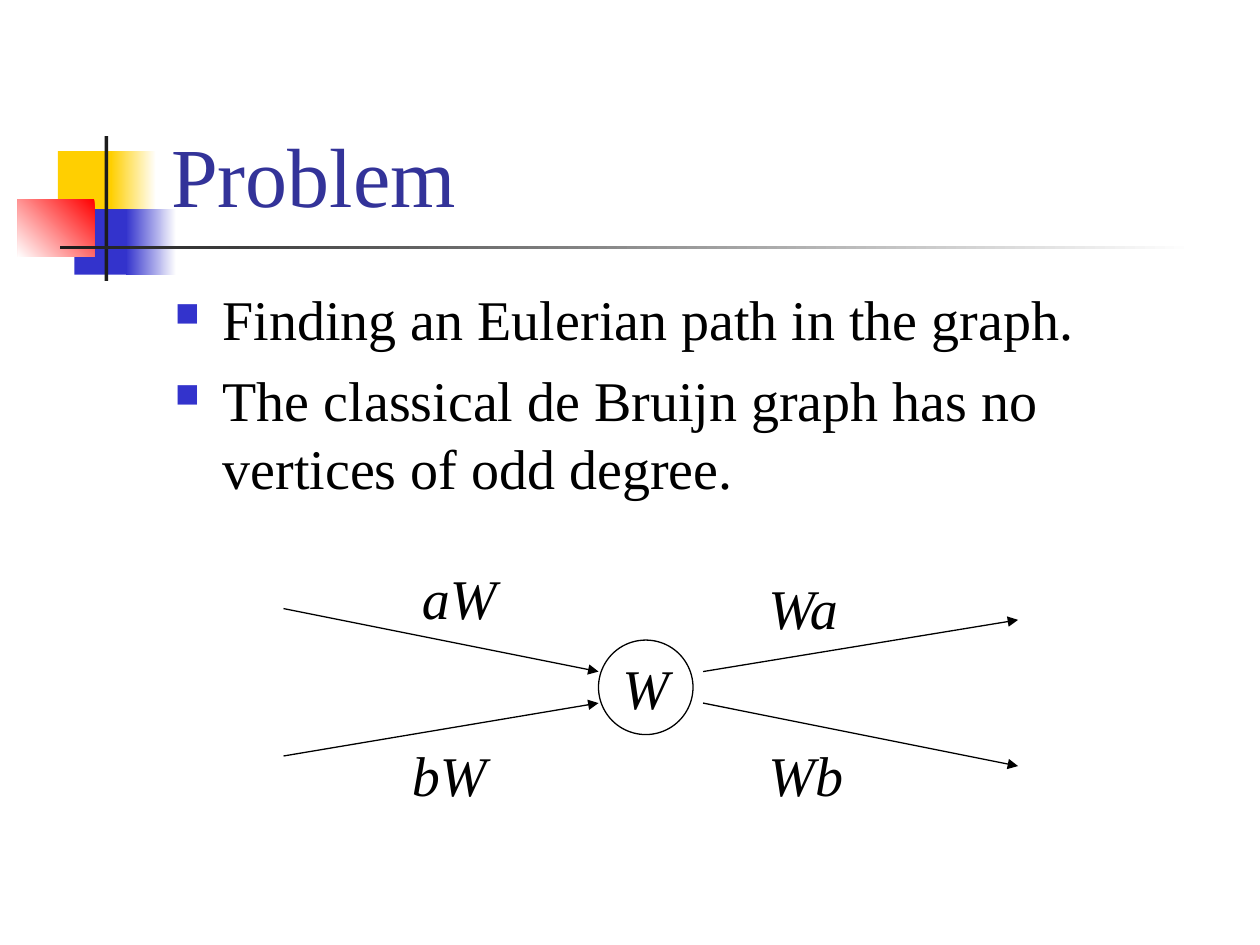
from dataclasses import dataclass

from lxml.etree import SubElement
from pptx import Presentation
from pptx.dml.color import RGBColor
from pptx.enum.shapes import MSO_CONNECTOR as Connector, MSO_SHAPE as Shape
from pptx.enum.text import MSO_ANCHOR as Anchor, PP_ALIGN as Align
from pptx.oxml.ns import qn
from pptx.util import Inches, Pt


@dataclass(frozen=True)
class Theme:
    font: str = "Times New Roman"
    title_size: int = 48
    body_size: int = 32
    line_width: float = 0.75
    white: str = "FFFFFF"
    black: str = "000000"
    title: str = "333399"
    yellow: str = "FFCF01"
    blue: str = "3333CC"
    red: str = "FF0000"
    dark: str = "1C1C1C"


THEME = Theme()


def rgb(value):
    return RGBColor.from_string(value)


def add_run(paragraph, text, size=THEME.body_size, color=THEME.black, italic=False):
    run = paragraph.add_run()
    run.text = text
    run.font.name = THEME.font
    run.font.size = Pt(size)
    run.font.italic = italic
    run.font.color.rgb = rgb(color)


def add_text_frame(slide, left, top, width, height, anchor=Anchor.TOP):
    shape = slide.shapes.add_textbox(Inches(left), Inches(top), Inches(width), Inches(height))
    frame = shape.text_frame
    frame.word_wrap = True
    frame.vertical_anchor = anchor
    return frame


def add_block(slide, left, top, width, height, start, end=None, angle=180):
    shape = slide.shapes.add_shape(
        Shape.RECTANGLE, Inches(left), Inches(top), Inches(width), Inches(height)
    )
    shape.shadow.inherit = False
    shape.line.fill.background()
    if end is None:
        shape.fill.solid()
        shape.fill.fore_color.rgb = rgb(start)
        return
    shape.fill.gradient()
    shape.fill.gradient_angle = 360 - angle
    for stop, color, position in zip(shape.fill.gradient_stops, (start, end), (0, 1)):
        stop.color.rgb = rgb(color)
        stop.position = position


def add_decoration(slide, left, top):
    add_block(slide, left + 0.32, top + 0.12, 0.48, 0.52, THEME.yellow)
    add_block(slide, left + 0.74, top + 0.12, 0.36, 0.52, THEME.white, THEME.yellow)
    add_block(slide, left + 0.45, top + 0.58, 0.46, 0.52, THEME.blue)
    add_block(slide, left + 0.86, top + 0.58, 0.4, 0.52, THEME.white, THEME.blue)
    add_block(slide, left, top + 0.5, 0.61, 0.46, THEME.red, THEME.white, 135)
    add_block(slide, left + 0.69, top, 0.03, 1.15, THEME.dark)
    add_block(slide, left + 0.34, top + 0.87, 9, 0.03, THEME.white, THEME.dark)


def add_title(slide, left, top, width, height, text):
    frame = add_text_frame(slide, left, top, width, height, Anchor.BOTTOM)
    add_run(frame.paragraphs[0], text, THEME.title_size, THEME.title)


def add_bullet(paragraph):
    properties = paragraph._p.get_or_add_pPr()
    properties.set("marL", str(Inches(0.38)))
    properties.set("indent", str(Inches(-0.38)))
    color = SubElement(properties, qn("a:buClr"))
    SubElement(color, qn("a:srgbClr"), val=THEME.blue)
    SubElement(properties, qn("a:buSzPct"), val="60000")
    SubElement(properties, qn("a:buChar"), char="■")


def add_body(slide, left, top, width, height, items):
    frame = add_text_frame(slide, left, top, width, height)
    for index, text in enumerate(items):
        paragraph = frame.add_paragraph() if index else frame.paragraphs[0]
        add_bullet(paragraph)
        if index:
            paragraph.space_before = Pt(8)
        add_run(paragraph, text)


def add_vertex(slide, left, top, size, text):
    shape = slide.shapes.add_shape(
        Shape.OVAL, Inches(left), Inches(top), Inches(size), Inches(size)
    )
    shape.shadow.inherit = False
    shape.fill.background()
    shape.line.color.rgb = rgb(THEME.black)
    shape.line.width = Pt(THEME.line_width)
    frame = shape.text_frame
    frame.word_wrap = False
    frame.vertical_anchor = Anchor.MIDDLE
    paragraph = frame.paragraphs[0]
    paragraph.alignment = Align.CENTER
    add_run(paragraph, text, italic=True)


def add_arrow(slide, start_x, start_y, end_x, end_y):
    connector = slide.shapes.add_connector(
        Connector.STRAIGHT, Inches(start_x), Inches(start_y), Inches(end_x), Inches(end_y)
    )
    connector.line.color.rgb = rgb(THEME.black)
    connector.line.width = Pt(THEME.line_width)
    SubElement(connector.line._get_or_add_ln(), qn("a:tailEnd"), type="triangle")
    SubElement(connector._element.spPr, qn("a:effectLst"))


def add_graph(slide, left, top):
    add_vertex(slide, left + 2.5, top + 0.66, 0.75, "W")
    edges = (
        ("aW", 1, 0, (0, 0.41, 2.5, 0.91)),
        ("bW", 0.92, 1.41, (0, 1.58, 2.5, 1.16)),
        ("Wa", 3.75, 0.08, (3.33, 0.91, 5.83, 0.5)),
        ("Wb", 3.75, 1.41, (3.33, 1.16, 5.83, 1.66)),
    )
    for text, label_x, label_y, (start_x, start_y, end_x, end_y) in edges:
        add_arrow(slide, left + start_x, top + start_y, left + end_x, top + end_y)
        frame = add_text_frame(slide, left + label_x, top + label_y, 0.83, 0.64)
        add_run(frame.paragraphs[0], text, italic=True)


def main():
    presentation = Presentation()
    presentation.slide_width = Inches(10)
    presentation.slide_height = Inches(7.5)
    slide = presentation.slides.add_slide(presentation.slide_layouts[6])
    slide.background.fill.solid()
    slide.background.fill.fore_color.rgb = rgb(THEME.white)
    add_decoration(slide, 0.14, 1.08)
    add_title(slide, 1.26, 0.23, 8.52, 1.6, "Problem")
    add_body(slide, 1.29, 2.21, 8.5, 4.5, (
        "Finding an Eulerian path in the graph.",
        "The classical de Bruijn graph has no vertices of odd degree.",
    ))
    add_graph(slide, 2.25, 4.42)
    presentation.save("out.pptx")


if __name__ == "__main__":
    main()
